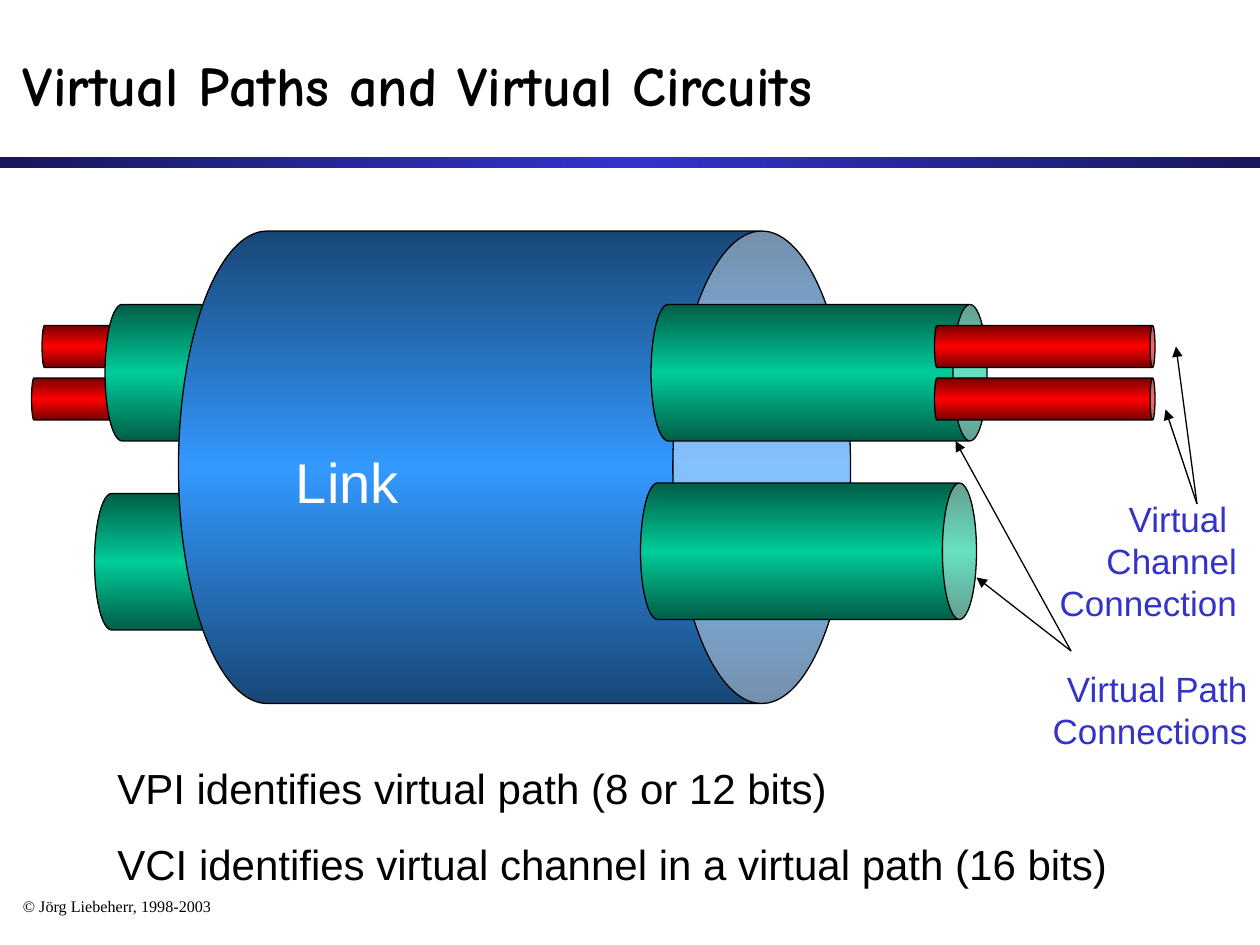
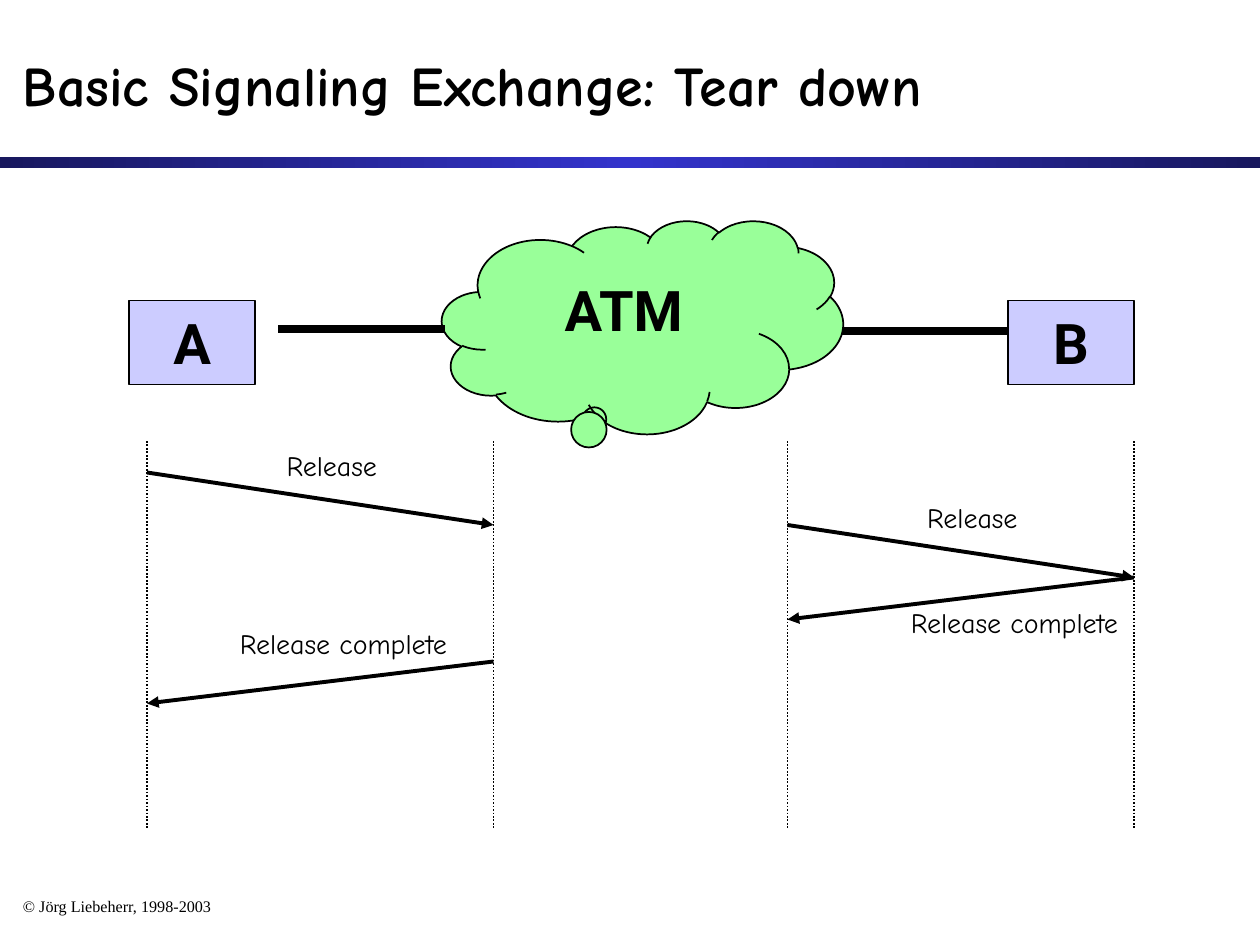
from lxml import etree
from pptx import Presentation
from pptx.dml.color import RGBColor
from pptx.enum.dml import MSO_LINE
from pptx.enum.shapes import MSO_CONNECTOR, MSO_SHAPE
from pptx.enum.text import MSO_ANCHOR, PP_ALIGN
from pptx.oxml import parse_xml
from pptx.oxml.ns import nsdecls, qn
from pptx.util import Inches, Pt

COLS, ROWS = 120, 90
CELL = Inches(10) / COLS

BLACK, WHITE, INDIGO = "000000", "FFFFFF", "3333CC"
BAND = ("18185E", INDIGO)
RED = ("760000", "FF0000")
GREEN = ("005E47", "00CC99")
BLUE = ("184776", "3399FF")

TITLE = dict(name="Comic Neue", size=Pt(32), bold=True)
FOOTER = dict(name="Times New Roman", size=Pt(9.2))
CAPTION = dict(name="Arial", size=Pt(20))
BODY = dict(name="Arial", size=Pt(24))
LINK = dict(name="Arial", size=Pt(32))
MESSAGE = dict(name="Comic Neue", size=Pt(16))
NODE = dict(name="Roboto", size=Pt(32), bold=True)


def rgb(value):
    return RGBColor.from_string(value)


def grid(*cells):
    return [round(c * CELL) for c in cells]


def write(tf, lines, style, color=BLACK, align=PP_ALIGN.LEFT, gap=0,
          spacing=1.0, anchor=MSO_ANCHOR.TOP, wrap=True):
    tf.word_wrap = wrap
    tf.vertical_anchor = anchor
    for i, line in enumerate(lines):
        p = tf.add_paragraph() if i else tf.paragraphs[0]
        p.text = line
        p.alignment = align
        p.line_spacing = spacing
        if i:
            p.space_before = Pt(gap)
        for r in p.runs:
            for key, value in style.items():
                setattr(r.font, key, value)
            r.font.color.rgb = rgb(color)


def label(s, box, lines, style, **options):
    write(s.shapes.add_textbox(*grid(*box)).text_frame, lines, style, **options)


def preset(s, kind, box, fill=None, outline=0.75):
    sp = s.shapes.add_shape(kind, *grid(*box))
    sp.shadow.inherit = False
    if fill:
        sp.fill.solid()
        sp.fill.fore_color.rgb = rgb(fill)
    if outline:
        sp.line.color.rgb = rgb(BLACK)
        sp.line.width = Pt(outline)
    else:
        sp.line.fill.background()
    return sp


def shade(sp, colors, angle):
    edge, middle = colors
    sp.fill.gradient()
    grad = sp.fill._xPr.find(qn("a:gradFill"))
    stops = "".join(
        f'<a:gs pos="{pos}"><a:srgbClr val="{c}"/></a:gs>'
        for pos, c in ((0, edge), (50000, middle), (100000, edge)))
    grad.getparent().replace(grad, parse_xml(
        f'<a:gradFill {nsdecls("a")} rotWithShape="0"><a:gsLst>{stops}</a:gsLst>'
        f'<a:lin ang="{angle * 60000}" scaled="0"/></a:gradFill>'))


def pipe(s, x, y, length, height, colors, cap):
    shift = (length - height) / 2
    sp = preset(s, MSO_SHAPE.CAN, (x + shift, y - shift, height, length))
    sp.rotation = 90
    sp.adjustments[0] = cap
    shade(sp, colors, 90)


def channel(s, x, y, length):
    pipe(s, x, y, length, 4, RED, 0.116)


def virtual_path(s, x, y):
    pipe(s, x, y, 32, 13, GREEN, 0.25)


def line(s, start, end, width=0.75, arrow=False, dash=None):
    c = s.shapes.add_connector(MSO_CONNECTOR.STRAIGHT, *grid(*start, *end))
    c.line.color.rgb = rgb(BLACK)
    c.line.width = Pt(width)
    if dash:
        c.line.dash_style = dash
    if arrow:
        etree.SubElement(c.line._get_or_add_ln(), qn("a:tailEnd"), type="triangle")
    etree.SubElement(c._element.spPr, qn("a:effectLst"))


def node(s, x, name):
    sp = preset(s, MSO_SHAPE.RECTANGLE, (x, 28.6, 12, 8), "CCCCFF")
    write(sp.text_frame, [name], NODE, align=PP_ALIGN.CENTER,
          anchor=MSO_ANCHOR.MIDDLE, wrap=False)


def new_slide(prs, title):
    s = prs.slides.add_slide(prs.slide_layouts[6])
    band = preset(s, MSO_SHAPE.RECTANGLE, (0, 15, COLS, 1), outline=0)
    shade(band, BAND, 0)
    label(s, (1, 85, 34, 3), ["© Jörg Liebeherr, 1998-2003"], FOOTER, spacing=0.9)
    label(s, (1, 2, 118, 12), [title], TITLE, anchor=MSO_ANCHOR.MIDDLE)
    return s


def paths_slide(prs):
    s = new_slide(prs, "Virtual Paths and Virtual Circuits")
    channel(s, 4, 31, 32)
    channel(s, 3, 36, 32)
    virtual_path(s, 9, 47)
    for left, top, height, text in (
            (94, 63, 9.2, "Virtual Path\vConnections"),
            (93, 46.8, 13.2, "Virtual \vChannel\vConnection")):
        label(s, (left, top, 26, height), [text], CAPTION,
              color=INDIGO, align=PP_ALIGN.RIGHT)
    for start, tips in (((102, 62), ((91, 42), (93, 55))),
                        ((114, 48), ((112, 33), (111, 39)))):
        for tip in tips:
            line(s, start, tip, arrow=True)
    label(s, (10, 72, 98, 13.3),
          ["VPI identifies virtual path (8 or 12 bits)",
           "VCI identifies virtual channel in a virtual path (16 bits)"],
          BODY, gap=15)
    virtual_path(s, 10, 29)
    pipe(s, 17, 22, 64, 45, BLUE, 0.376)
    virtual_path(s, 62, 29)
    virtual_path(s, 61, 46)
    for top in (31, 36):
        channel(s, 89, top, 21)
    label(s, (27, 42, 26, 7.7), ["Link"], LINK, color=WHITE)


def teardown_slide(prs):
    s = new_slide(prs, "Basic Signaling Exchange: Tear down")
    a, a_switch, b_switch, b = lifelines = 14, 47, 75, 108
    for x in lifelines:
        line(s, (x, 42), (x, 79), 1, dash=MSO_LINE.ROUND_DOT)
    messages = (
        ("Release", (a, 45), (a_switch, 50), 31.6, 42.1),
        ("Release", (b_switch, 50), (b, 55), 92.6, 47.1),
        ("Release complete", (b, 55), (b_switch, 59), 96.6, 57.1),
        ("Release complete", (a_switch, 63), (a, 67), 32.7, 59.1),
    )
    for text, start, end, center, top in messages:
        line(s, start, end, 2.25, arrow=True)
        label(s, (center - 14, top, 28, 4.4), [text], MESSAGE,
              align=PP_ALIGN.CENTER, wrap=False)
    node(s, 12.3, "A")
    node(s, 96, "B")
    cloud = preset(s, MSO_SHAPE.CLOUD_CALLOUT, (42.1, 21, 38.2, 20.3), "99FF99", 1)
    cloud.adjustments[0], cloud.adjustments[1] = -0.12, 0.432
    cloud.text_frame.margin_bottom = Inches(0.25)
    cloud.text_frame.margin_right = Inches(0.17)
    write(cloud.text_frame, ["ATM"], NODE, align=PP_ALIGN.CENTER,
          anchor=MSO_ANCHOR.MIDDLE, wrap=False)
    line(s, (26.5, 31.3), (42.4, 31.3), 4.5)
    line(s, (80.2, 31.5), (96, 31.5), 4.5)


def main():
    prs = Presentation()
    prs.slide_width, prs.slide_height = grid(COLS, ROWS)
    paths_slide(prs)
    teardown_slide(prs)
    prs.save("out.pptx")


if __name__ == "__main__":
    main()
